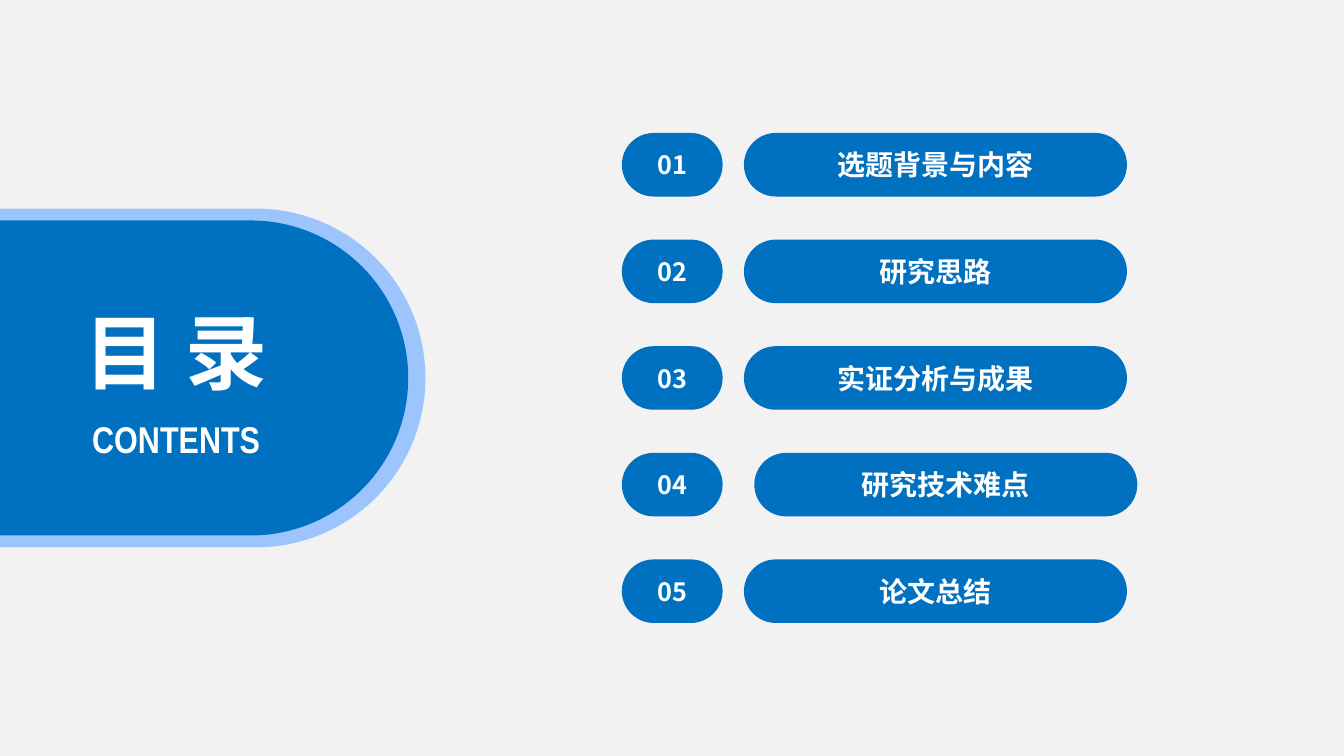
from lxml.etree import SubElement
from pptx import Presentation
from pptx.dml.color import RGBColor
from pptx.enum.shapes import MSO_SHAPE
from pptx.enum.text import MSO_ANCHOR, MSO_AUTO_SIZE, PP_ALIGN
from pptx.oxml.ns import qn
from pptx.util import Pt

BLUE = "0070C0"
PALE_BLUE = "9CC5FD"
WHITE = "FFFFFF"
LIGHT_GREY = "F2F2F2"
CHINESE_FONT = "Noto Sans CJK SC"
LATIN_FONT = "Arial Narrow"
CHAPTERS = ["选题背景与内容", "研究思路", "实证分析与成果", "研究技术难点", "论文总结"]
CHAPTER_SHIFTS = {4: 7.4}


def paint(fill, color):
    fill.solid()
    fill.fore_color.rgb = RGBColor.from_string(color)


def write(shape, text, size, font_name, wrap=True):
    frame = shape.text_frame
    frame.text = text
    frame.word_wrap = wrap
    frame.auto_size = MSO_AUTO_SIZE.NONE
    frame.vertical_anchor = MSO_ANCHOR.MIDDLE
    paragraph = frame.paragraphs[0]
    paragraph.alignment = PP_ALIGN.CENTER
    for run in paragraph.runs:
        run.font.name = font_name
        run.font.size = Pt(size)
        run.font.bold = True
        paint(run.font.fill, WHITE)
        east_asian = SubElement(run.font._element, qn("a:ea"))
        east_asian.set("typeface", font_name)


def add_pill(slide, left, top, width, height, color):
    pill = slide.shapes.add_shape(
        MSO_SHAPE.ROUNDED_RECTANGLE, Pt(left), Pt(top), Pt(width), Pt(height)
    )
    pill.adjustments[0] = 0.5
    pill.shadow.inherit = False
    paint(pill.fill, color)
    pill.line.fill.background()
    return pill


def add_heading_panel(slide, left, top, width, height):
    add_pill(slide, left, top, width, height, PALE_BLUE)
    add_pill(slide, left + 18.7, top + 8.5, width - 31, height - 17, BLUE)

    subtitle = slide.shapes.add_textbox(
        Pt(left + 185.7), Pt(top + 144.8), Pt(162.7), Pt(39.6)
    )
    write(subtitle, "CONTENTS", 26.6, LATIN_FONT, wrap=False)

    title = slide.shapes.title
    title.left, title.top = Pt(left + 191.5), Pt(top + 62)
    title.width, title.height = Pt(150.5), Pt(78.5)
    write(title, "目 录", 58.6, CHINESE_FONT, wrap=False)
    slide.shapes.element.append(title.element)


def add_chapter_list(slide, left, top, width, height):
    pill_height = 45.4
    number_width = 72
    chapter_width = 273.6
    pitch = (height - pill_height) / (len(CHAPTERS) - 1)
    chapter_left = left + width - chapter_width
    for index, chapter in enumerate(CHAPTERS):
        number = index + 1
        row_top = top + index * pitch
        number_pill = add_pill(slide, left, row_top, number_width, pill_height, BLUE)
        write(number_pill, f"{number:02d}", 18, CHINESE_FONT)
        chapter_pill = add_pill(
            slide, chapter_left + CHAPTER_SHIFTS.get(number, 0), row_top,
            chapter_width, pill_height, BLUE,
        )
        write(chapter_pill, chapter, 20, CHINESE_FONT)


def main():
    presentation = Presentation()
    presentation.slide_width = Pt(960)
    presentation.slide_height = Pt(540)
    slide = presentation.slides.add_slide(presentation.slide_layouts[5])
    paint(slide.background.fill, LIGHT_GREY)
    add_heading_panel(slide, -141.1, 149, 445, 242)
    add_chapter_list(slide, 444.2, 95, 360.8, 350)
    presentation.save("out.pptx")


if __name__ == "__main__":
    main()
